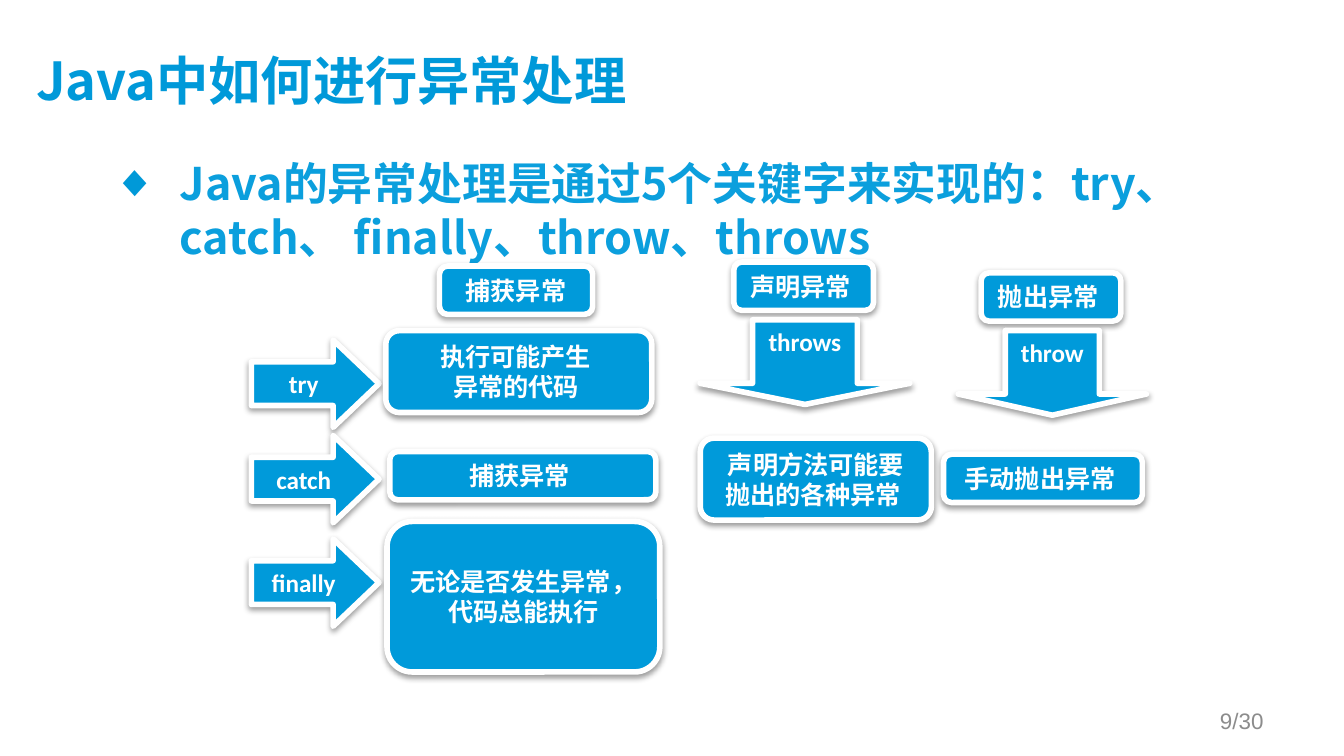
from lxml import etree
from pptx import Presentation
from pptx.dml.color import RGBColor
from pptx.enum.shapes import MSO_SHAPE
from pptx.enum.text import MSO_ANCHOR, PP_ALIGN
from pptx.oxml import parse_xml
from pptx.oxml.ns import nsdecls, qn
from pptx.util import Inches, Pt

SLIDE_WIDTH = Inches(10)
SLIDE_HEIGHT = SLIDE_WIDTH * 9 // 16

TITLE_BLUE = RGBColor(0x00, 0x99, 0xD9)
BODY_BLUE = RGBColor(0x0B, 0x9F, 0xDD)
SHAPE_BLUE = RGBColor(0x00, 0x9A, 0xDA)
WHITE = RGBColor(0xFF, 0xFF, 0xFF)
GREY = RGBColor(0x8C, 0x8C, 0x8C)
CJK_FONT = "Noto Sans CJK SC"

TITLE_FONT = {"name": CJK_FONT, "size": Pt(28), "bold": True}
BODY_FONT = {"name": CJK_FONT, "size": Pt(24), "bold": True}
LABEL_FONT = {"name": "Calibri", "size": Pt(13.5), "bold": True}
NUMBER_FONT = {"name": "Arial", "size": Pt(12), "bold": False}

BULLET = (
    '<a:buClr {ns}><a:srgbClr val="0099D8"/></a:buClr>',
    '<a:buFont {ns} typeface="Arial"/>',
    '<a:buChar {ns} char="◆"/>',
)
SHADOW = (
    '<a:effectLst {ns}><a:outerShdw blurRad="40000" dist="20000" dir="5400000" rotWithShape="0">'
    '<a:srgbClr val="000000"><a:alpha val="38000"/></a:srgbClr></a:outerShdw></a:effectLst>'
)
ROW_HEIGHT = 0.36
TWO_LINE_HEIGHT = 0.61


def drawing_xml(template):
    return parse_xml(template.format(ns=nsdecls("a")))


def write(frame, text, font, color, align, anchor):
    """Fill a text frame, one paragraph for each line of text."""
    frame.word_wrap = True
    frame.vertical_anchor = anchor
    frame.text = text
    for paragraph in frame.paragraphs:
        paragraph.alignment = align
        for run in paragraph.runs:
            for attribute, value in font.items():
                setattr(run.font, attribute, value)
            run.font.color.rgb = color
            east_asian = etree.SubElement(run.font._element, qn("a:ea"))
            east_asian.set("typeface", CJK_FONT)


def add_label(slide, kind, box, text, anchor=MSO_ANCHOR.MIDDLE):
    label = slide.shapes.add_shape(kind, *map(Inches, box))
    label.fill.solid()
    label.fill.fore_color.rgb = SHAPE_BLUE
    label.line.color.rgb = WHITE
    label.line.width = Pt(3)
    label._element.spPr.append(drawing_xml(SHADOW))
    write(label.text_frame, text, LABEL_FONT, WHITE, PP_ALIGN.CENTER, anchor)
    return label


def add_title(slide, box):
    title = slide.shapes.title
    title.left, title.top, title.width, title.height = map(Inches, box)
    frame = title.text_frame
    frame.margin_left = frame.margin_top = 0
    write(frame, "Java中如何进行异常处理", TITLE_FONT, TITLE_BLUE,
          PP_ALIGN.LEFT, MSO_ANCHOR.MIDDLE)


def add_keywords(slide, box):
    frame = slide.shapes.add_textbox(*map(Inches, box)).text_frame
    frame.margin_right = Inches(0.3)
    write(frame, "Java的异常处理是通过5个关键字来实现的：try、catch、 finally、throw、throws",
          BODY_FONT, BODY_BLUE, PP_ALIGN.LEFT, MSO_ANCHOR.TOP)
    properties = frame.paragraphs[0]._p.get_or_add_pPr()
    properties.set("marL", str(Inches(0.5)))
    properties.set("indent", str(-Inches(0.5)))
    for part in BULLET:
        properties.append(drawing_xml(part))


def add_catching(slide, left, top):
    """Heading, then one arrow and one explanation for each keyword."""
    add_label(slide, MSO_SHAPE.ROUNDED_RECTANGLE,
              (left + 1.4, top, 1.14, ROW_HEIGHT), " 捕获异常 ")
    steps = (
        ("try", 0.55, "执行可能产生 \n异常的代码 ", (1.0, 0.48, 1.98, TWO_LINE_HEIGHT)),
        ("catch", 1.26, "捕获异常 ", (1.03, 1.38, 1.98, ROW_HEIGHT)),
        ("finally", 2.03, "无论是否发生异常，\n代码总能执行", (1.01, 1.9, 2.03, 1.12)),
    )
    for keyword, arrow_top, meaning, (x, y, width, height) in steps:
        arrow = add_label(slide, MSO_SHAPE.RIGHT_ARROW,
                          (left, top + arrow_top, 0.95, 0.65), keyword)
        arrow.adjustments[1] = 0.525
        add_label(slide, MSO_SHAPE.ROUNDED_RECTANGLE,
                  (left + x, top + y, width, height), meaning)


def add_keyword_column(slide, center, top, heading, keyword, arrow_width, meaning, meaning_box):
    """Heading over a down arrow with the keyword, then its meaning."""
    add_label(slide, MSO_SHAPE.ROUNDED_RECTANGLE,
              (center - 0.53, top, 1.04, ROW_HEIGHT), heading)
    arrow = add_label(slide, MSO_SHAPE.DOWN_ARROW,
                      (center - arrow_width / 2, top + 0.43, arrow_width, 0.63),
                      keyword, MSO_ANCHOR.TOP)
    arrow.adjustments[1] = 0.25
    x, y, width, height = meaning_box
    add_label(slide, MSO_SHAPE.ROUNDED_RECTANGLE,
              (center + x, top + y, width, height), meaning)


def add_page_number(slide, box):
    frame = slide.shapes.add_textbox(*map(Inches, box)).text_frame
    write(frame, "9/30", NUMBER_FONT, GREY, PP_ALIGN.RIGHT, MSO_ANCHOR.MIDDLE)


def main():
    presentation = Presentation()
    presentation.slide_width = SLIDE_WIDTH
    presentation.slide_height = SLIDE_HEIGHT
    slide = presentation.slides.add_slide(presentation.slide_layouts[5])
    add_title(slide, (0.27, 0.23, 8.95, 0.77))
    add_keywords(slide, (0.74, 1.11, 8.49, 3.71))
    add_catching(slide, 1.87, 1.98)
    add_keyword_column(slide, 7.83, 2.03, "抛出异常 ", "throw", 1.4,
                       "手动抛出异常 ", (-0.81, 1.35, 1.48, ROW_HEIGHT))
    add_keyword_column(slide, 5.99, 1.95, "声明异常 ", "throws", 1.56,
                       "声明方法可能要\n抛出的各种异常 ", (-0.78, 1.31, 1.72, TWO_LINE_HEIGHT))
    add_page_number(slide, (7.17, 5.21, 2.33, 0.3))
    presentation.save("out.pptx")


if __name__ == "__main__":
    main()
